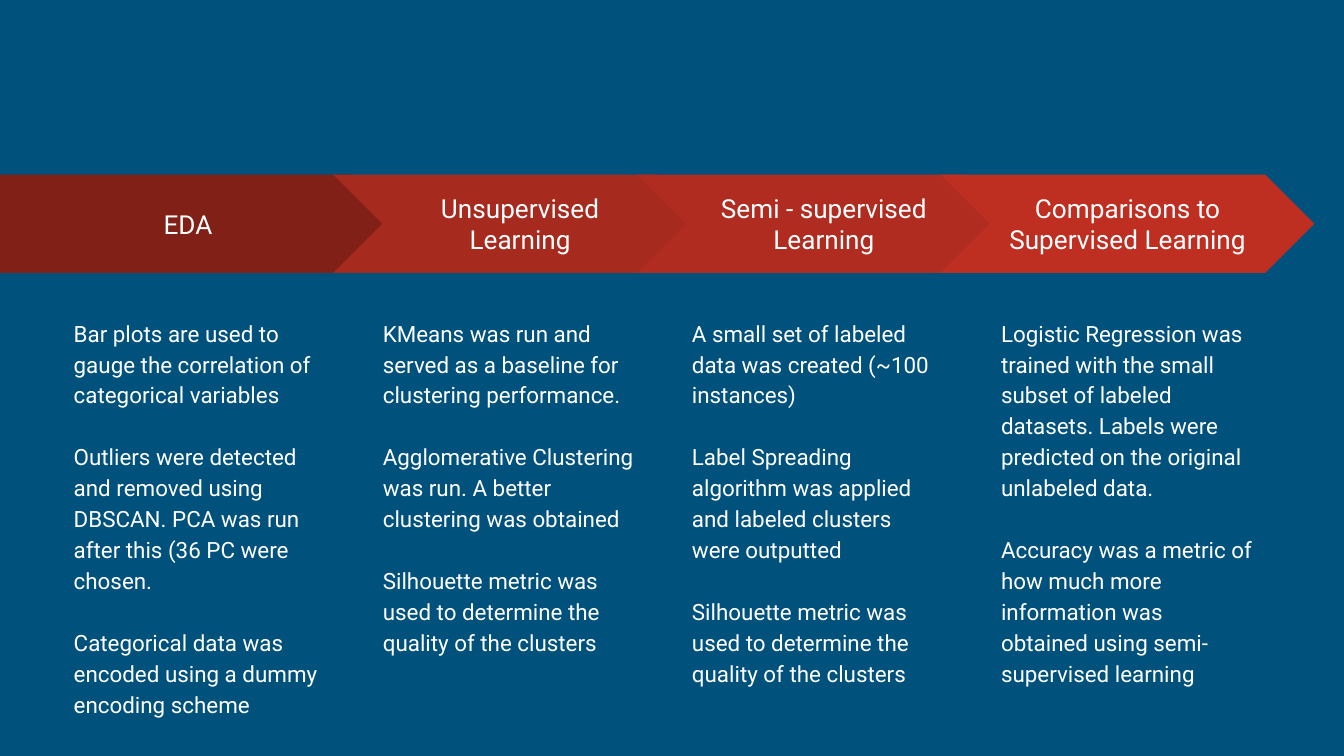
from pptx import Presentation
from pptx import util as u
from pptx.dml.color import RGBColor
from pptx.enum import shapes, text

WIDTH = 10
HEIGHT = WIDTH * 9 / 16
FONT = "Roboto"
COLORS = {"background": "00517C", "text": "FFFFFF"}

ARROW_TOP, ARROW_HEIGHT = 1.3, 0.73
FIRST_ARROW_WIDTH, CHEVRON_WIDTH = 2.98, 2.78
CHEVRON_LEFT, CHEVRON_STEP = 2.48, 2.26
COLUMN_LEFT, COLUMN_STEP = 0.45, 2.3
COLUMN_TOP, COLUMN_WIDTH, COLUMN_HEIGHT = 2.25, 2.08, 2.86
PARAGRAPH_GAP = 16.6

STAGES = [
    ("EDA", "802017", [
        "Bar plots are used to gauge the correlation of categorical variables",
        "Outliers were detected and removed using DBSCAN. PCA was run after this (36 PC were chosen.",
        "Categorical data was encoded using a dummy encoding scheme",
    ]),
    ("Unsupervised Learning", "A72A1E", [
        "KMeans was run and served as a baseline for clustering performance.",
        "Agglomerative Clustering was run. A better clustering was obtained",
        "Silhouette metric was used to determine the quality of the clusters",
    ]),
    ("Semi - supervised Learning", "B02C20", [
        "A small set of labeled data was created (~100 instances)",
        "Label Spreading algorithm was applied and labeled clusters were outputted",
        "Silhouette metric was used to determine the quality of the clusters",
    ]),
    ("Comparisons to Supervised Learning", "BE2F22", [
        "Logistic Regression was trained with the small subset of labeled datasets. "
        "Labels were predicted on the original unlabeled data.",
        "Accuracy was a metric of how much more information was obtained using "
        "semi-supervised learning",
    ]),
]


def paint(fill, color):
    fill.solid()
    fill.fore_color.rgb = RGBColor.from_string(color)


def prepare_frame(frame, anchor):
    frame.word_wrap = True
    frame.vertical_anchor = anchor
    frame.margin_left = frame.margin_right = u.Inches(0.1)
    frame.margin_top = frame.margin_bottom = u.Inches(0.1)


def add_span(para, words, size):
    span = para.add_run()
    span.text = words
    span.font.name = FONT
    span.font.size = u.Pt(size)
    span.font.color.rgb = RGBColor.from_string(COLORS["text"])


def add_arrow(page, index, title, color):
    """Draw one step of the band: a flat-backed arrow first, then chevrons."""
    if index == 0:
        kind, left, width = shapes.MSO_SHAPE.PENTAGON, 0, FIRST_ARROW_WIDTH
    else:
        kind, width = shapes.MSO_SHAPE.CHEVRON, CHEVRON_WIDTH
        left = CHEVRON_LEFT + (index - 1) * CHEVRON_STEP
    arrow = page.shapes.add_shape(kind, u.Inches(left), u.Inches(ARROW_TOP),
                                  u.Inches(width), u.Inches(ARROW_HEIGHT))
    arrow.shadow.inherit = False
    arrow.adjustments[0] = 0.5
    paint(arrow.fill, color)
    arrow.line.fill.background()
    prepare_frame(arrow.text_frame, text.MSO_ANCHOR.MIDDLE)
    para = arrow.text_frame.paragraphs[0]
    para.alignment = text.PP_ALIGN.CENTER
    add_span(para, title, 14)


def add_column(page, index, notes):
    box = page.shapes.add_textbox(
        u.Inches(COLUMN_LEFT + index * COLUMN_STEP), u.Inches(COLUMN_TOP),
        u.Inches(COLUMN_WIDTH), u.Inches(COLUMN_HEIGHT))
    frame = box.text_frame
    prepare_frame(frame, text.MSO_ANCHOR.TOP)
    for number, note in enumerate(notes):
        para = frame.add_paragraph() if number else frame.paragraphs[0]
        para.line_spacing = 1.15
        para.space_before = u.Pt(PARAGRAPH_GAP if number else 0)
        add_span(para, note, 12)


def main():
    deck = Presentation()
    deck.slide_width, deck.slide_height = u.Inches(WIDTH), u.Inches(HEIGHT)
    page = deck.slides.add_slide(deck.slide_layouts[6])
    paint(page.background.fill, COLORS["background"])
    for index, (title, color, notes) in enumerate(STAGES):
        add_arrow(page, index, title, color)
        add_column(page, index, notes)
    deck.save("out.pptx")


if __name__ == "__main__":
    main()
